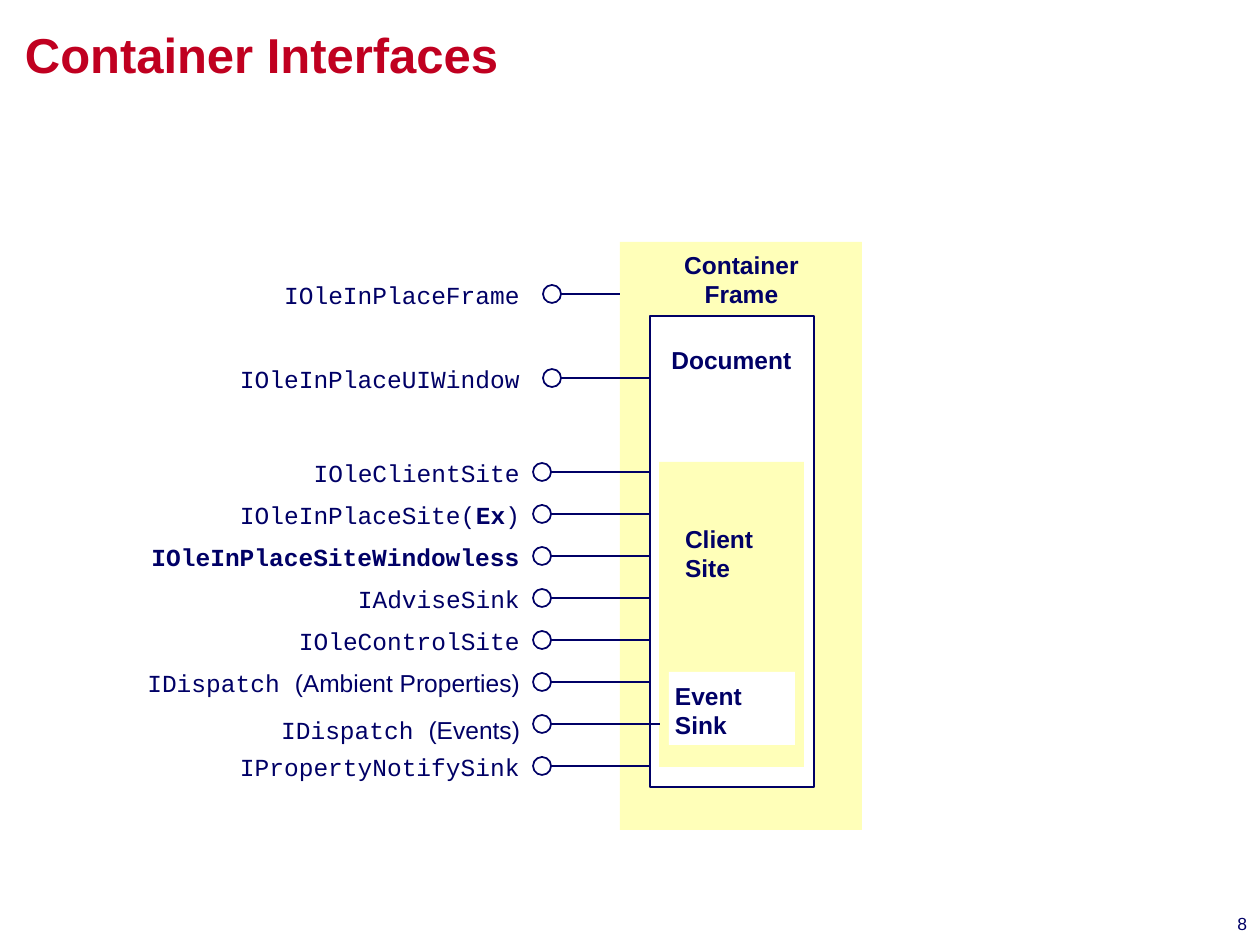
"""Build the Container Interfaces slide: nested container parts and the interfaces each exposes."""
from dataclasses import dataclass

from lxml import etree
from pptx import Presentation
from pptx.dml.color import RGBColor
from pptx.enum.shapes import MSO_CONNECTOR, MSO_SHAPE
from pptx.enum.text import MSO_ANCHOR, PP_ALIGN
from pptx.oxml.ns import qn
from pptx.util import Emu, Pt

RECTANGLE, OVAL = MSO_SHAPE.RECTANGLE, MSO_SHAPE.OVAL
STRAIGHT = MSO_CONNECTOR.STRAIGHT
LEFT, CENTER, RIGHT = PP_ALIGN.LEFT, PP_ALIGN.CENTER, PP_ALIGN.RIGHT
TOP = MSO_ANCHOR.TOP


@dataclass(frozen=True)
class Theme:
    ink: str = "000066"
    title: str = "C00020"
    panel: str = "FFFFB9"
    paper: str = "FFFFFF"
    sans: str = "Arial"
    mono: str = "Courier New"
    title_size: int = 28
    body_size: int = 14
    number_size: int = 10
    line_width: int = 1


THEME = Theme()
EMU_PER_PX = 914400 / 126
SLIDE_SIZE = (1260, 945)
INSETS = (13, 6, 13, 6)

TITLE = ("Container Interfaces", (0, 0, 1260, 126))
PAGE_NUMBER = ("8", (806, 907, 441, 21))

BOXES = [
    ((620, 242, 242, 588), THEME.panel, None),
    ((650, 316, 164, 471), THEME.paper, THEME.ink),
    ((659, 462, 145, 305), THEME.panel, None),
    ((669, 672, 126, 73), THEME.paper, None),
]
CAPTIONS = [
    (["Container Frame"], (669, 244, 145, 71), CENTER),
    (["Document"], (649, 339, 165, 42), CENTER),
    (["Client", "Site"], (672, 518, 130, 71), LEFT),
    (["Event", "Sink"], (662, 675, 130, 71), LEFT),
]

MONO = {"font": THEME.mono}
MONO_BOLD = {"font": THEME.mono, "bold": True}
SANS = {"font": THEME.sans}
FRAME_EDGE, DOCUMENT_EDGE, SITE_EDGE = 620, 650, 660
WINDOW_INTERFACES = [
    ([("IOleInPlaceFrame", MONO)], 294, FRAME_EDGE),
    ([("IOleInPlaceUIWindow", MONO)], 378, DOCUMENT_EDGE),
]
SITE_INTERFACES = [
    ([("IOleClientSite", MONO)], DOCUMENT_EDGE, 0),
    ([("IOleInPlaceSite(", MONO), ("Ex", MONO_BOLD), (")", MONO)], DOCUMENT_EDGE, 0),
    ([("IOleInPlaceSiteWindowless", MONO_BOLD)], DOCUMENT_EDGE, 0),
    ([("IAdviseSink", MONO)], DOCUMENT_EDGE, 0),
    ([("IOleControlSite", MONO)], DOCUMENT_EDGE, 0),
    ([("IDispatch ", MONO), ("(Ambient Properties)", SANS)], DOCUMENT_EDGE, 0),
    ([("IDispatch ", MONO), ("(Events)", SANS)], SITE_EDGE, 5),
    ([("IPropertyNotifySink", MONO)], DOCUMENT_EDGE, 0),
]
SITE_TOP, SITE_STEP = 472, 42
WINDOW_CIRCLE, SITE_CIRCLE = 552, 542
CIRCLE_SIZE = 18
LABEL_LEFT, LABEL_RISE, LABEL_WIDTH, LABEL_HEIGHT = 49, 20, 484, 42


def px(value):
    return Emu(round(value * EMU_PER_PX))


def rgb(color):
    return RGBColor.from_string(color)


def add_text(slide, paragraphs, box, *, size=THEME.body_size, font=THEME.sans, color=THEME.ink,
             bold=False, align=LEFT, insets=INSETS):
    frame = slide.shapes.add_textbox(*map(px, box)).text_frame
    frame.word_wrap = True
    frame.vertical_anchor = TOP
    frame.margin_left, frame.margin_top, frame.margin_right, frame.margin_bottom = map(px, insets)
    for index, runs in enumerate(paragraphs):
        paragraph = frame.add_paragraph() if index else frame.paragraphs[0]
        paragraph.alignment = align
        for text, style in [(runs, {})] if isinstance(runs, str) else runs:
            run = paragraph.add_run()
            run.text = text
            run.font.name = style.get("font", font)
            run.font.bold = style.get("bold", bold)
            run.font.size = Pt(size)
            run.font.color.rgb = rgb(color)


def add_shape(slide, kind, box, fill, line=None):
    shape = slide.shapes.add_shape(kind, *map(px, box))
    shape.shadow.inherit = False
    shape.fill.solid()
    shape.fill.fore_color.rgb = rgb(fill)
    if line:
        shape.line.color.rgb = rgb(line)
        shape.line.width = Pt(THEME.line_width)
    else:
        shape.line.fill.background()


def add_interface(slide, runs, y, circle_x, edge, label_shift=0):
    connector = slide.shapes.add_connector(STRAIGHT, px(edge), px(y), px(circle_x), px(y))
    connector.line.color.rgb = rgb(THEME.ink)
    connector.line.width = Pt(THEME.line_width)
    etree.SubElement(connector._element.spPr, qn("a:effectLst"))
    radius = CIRCLE_SIZE / 2
    add_shape(slide, OVAL, (circle_x - radius, y - radius, CIRCLE_SIZE, CIRCLE_SIZE),
              THEME.paper, THEME.ink)
    label_top = y - LABEL_RISE + label_shift
    add_text(slide, [runs], (LABEL_LEFT, label_top, LABEL_WIDTH, LABEL_HEIGHT), align=RIGHT)


def main():
    presentation = Presentation()
    presentation.slide_width, presentation.slide_height = map(px, SLIDE_SIZE)
    slide = presentation.slides.add_slide(presentation.slide_layouts[6])

    text, box = PAGE_NUMBER
    add_text(slide, [text], box, size=THEME.number_size, align=RIGHT, insets=(0, 6, 0, 6))
    text, box = TITLE
    add_text(slide, [text], box, size=THEME.title_size, color=THEME.title, bold=True,
             insets=(25, 25, 248, 18))

    for box, fill, line in BOXES:
        add_shape(slide, RECTANGLE, box, fill, line)
    for paragraphs, box, align in CAPTIONS:
        add_text(slide, paragraphs, box, bold=True, align=align)
    for runs, y, edge in WINDOW_INTERFACES:
        add_interface(slide, runs, y, WINDOW_CIRCLE, edge)
    for index, (runs, edge, label_shift) in enumerate(SITE_INTERFACES):
        add_interface(slide, runs, SITE_TOP + index * SITE_STEP, SITE_CIRCLE, edge, label_shift)

    presentation.save("out.pptx")


if __name__ == "__main__":
    main()
